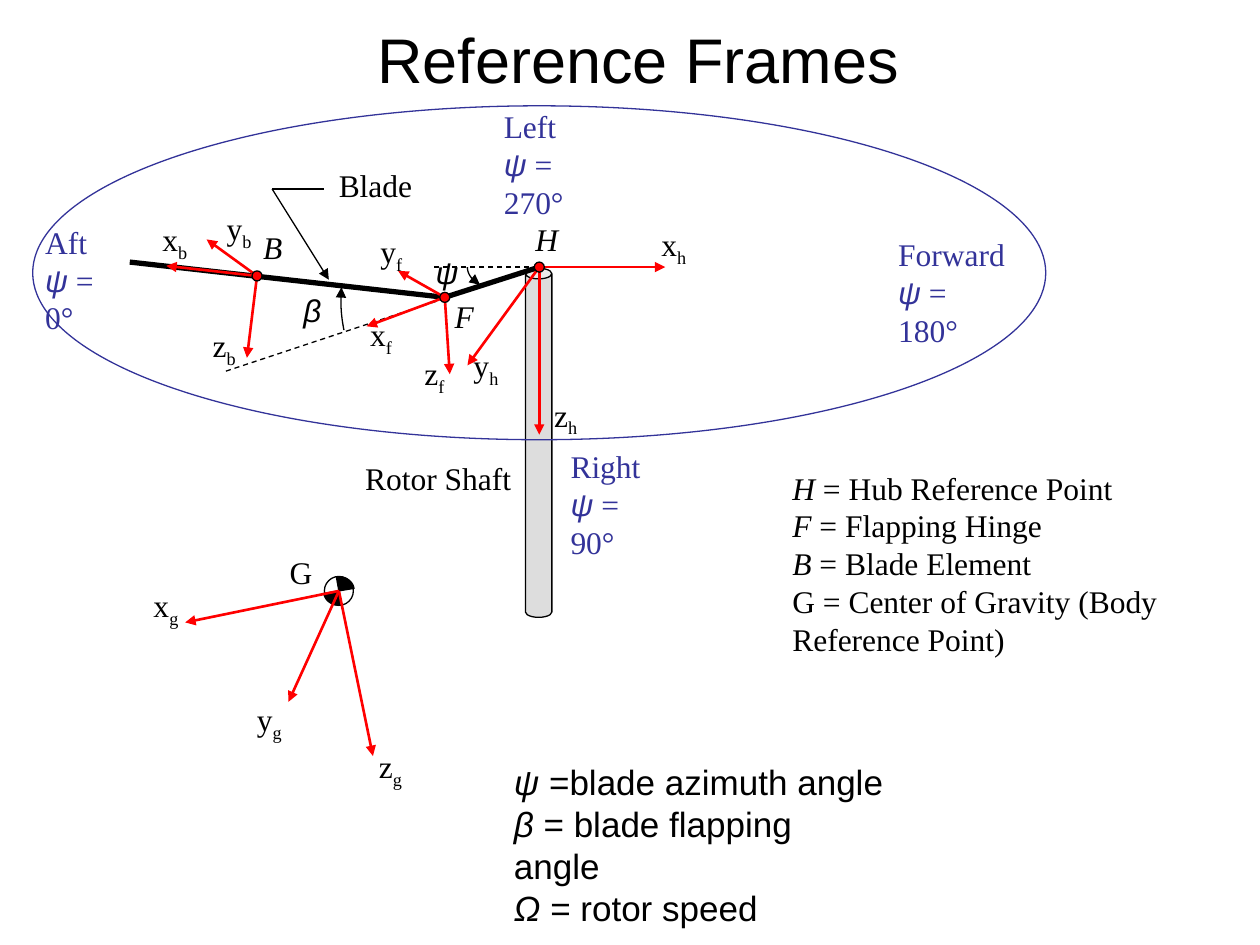
import pptx
import pptx.util
import pptx.dml.color
import pptx.enum.dml
import pptx.enum.shapes
import pptx.enum.text
import pptx.oxml.ns
import lxml.etree

Inches = pptx.util.Inches
SHAPE = pptx.enum.shapes.MSO_SHAPE
ALIGN = pptx.enum.text.PP_ALIGN
AUTO = pptx.enum.text.MSO_AUTO_SIZE
BLACK, RED, NAVY, WHITE, GREY = "000000", "FF0000", "333399", "FFFFFF", "DDDDDD"
SERIF = {"name": "Times New Roman", "italic": False}
SERIF_ITALIC = {"name": "Times New Roman", "italic": True}
SANS = {"name": "Arial", "italic": False}
SANS_ITALIC = {"name": "Arial", "italic": True}


def rgb(color):
    return pptx.dml.color.RGBColor.from_string(color)


def add_xml(parent, tag, **attrs):
    lxml.etree.SubElement(parent, pptx.oxml.ns.qn(tag), attrs)


def style(sp, fill=None, line=BLACK):
    sp.shadow.inherit = False
    if fill:
        sp.fill.solid()
        sp.fill.fore_color.rgb = rgb(fill)
    else:
        sp.fill.background()
    sp.line.color.rgb = rgb(line)
    sp.line.width = pptx.util.Pt(0.75)


def shape(s, kind, x, y, w, h, fill=None, line=BLACK):
    sp = s.shapes.add_shape(kind, Inches(x), Inches(y), Inches(w), Inches(h))
    style(sp, fill, line)
    return sp


def line(s, x1, y1, x2, y2, color=BLACK, width=0.75, dash=False, arrow=False):
    sp = s.shapes.add_connector(pptx.enum.shapes.MSO_CONNECTOR.STRAIGHT,
                                Inches(x1), Inches(y1), Inches(x2), Inches(y2))
    sp.line.color.rgb = rgb(color)
    sp.line.width = pptx.util.Pt(width)
    if dash:
        sp.line.dash_style = pptx.enum.dml.MSO_LINE.DASH
    if arrow:
        add_xml(sp.line._get_or_add_ln(), "a:tailEnd", type="triangle")
    add_xml(sp._element.spPr, "a:effectLst")


def curve(start, c1, c2, end, steps=16):
    for i in range(steps + 1):
        t = i / steps
        u = 1 - t
        weights = (u ** 3, 3 * u * u * t, 3 * u * t * t, t ** 3)
        yield tuple(sum(k * p[axis] for k, p in zip(weights, (start, c1, c2, end)))
                    for axis in (0, 1))


def outline(s, x, y, points, close=False, fill=None):
    pts = [(Inches(x + dx), Inches(y + dy)) for dx, dy in points]
    fb = s.shapes.build_freeform(*pts[0])
    fb.add_line_segments(pts[1:], close=close)
    sp = fb.convert_to_shape()
    style(sp, fill)
    return sp


def angle_arc(s, x, y, *controls):
    sp = outline(s, x, y, curve(*controls))
    add_xml(sp.line._get_or_add_ln(), "a:headEnd", type="triangle")


def text(s, x, y, w, h, paragraphs, size=18, color=BLACK, wrap=False, title=False):
    sp = s.shapes.add_textbox(Inches(x), Inches(y), Inches(w), Inches(h))
    tf = sp.text_frame
    tf.word_wrap = wrap
    tf.auto_size = AUTO.NONE if title else AUTO.SHAPE_TO_FIT_TEXT
    if title:
        tf.vertical_anchor = pptx.enum.text.MSO_ANCHOR.MIDDLE
    for i, runs in enumerate(paragraphs):
        p = tf.paragraphs[0] if i == 0 else tf.add_paragraph()
        p.alignment = ALIGN.CENTER if title else ALIGN.LEFT
        for words, fmt in runs:
            r = p.add_run()
            r.text = words
            for key, value in {"size": pptx.util.Pt(size), **fmt}.items():
                if key == "baseline":
                    r._r.get_or_add_rPr().set(key, value)
                else:
                    setattr(r.font, key, value)
            r.font.color.rgb = rgb(color)


def frame(s, x, y, sub, axes):
    for axis, dx, dy, label_dx, label_dy in axes:
        line(s, x, y, x + dx, y + dy, RED, 1.5, arrow=True)
        text(s, x + label_dx, y + label_dy, 0.4, 0.4,
             [[(axis, SERIF), (sub, {**SERIF, "baseline": "-25000"})]])


def joint(s, x, y, name, dx, dy):
    shape(s, SHAPE.OVAL, x - 0.04, y - 0.04, 0.08, 0.08, RED)
    text(s, x + dx, y + dy, 0.36, 0.4, [[(name, SERIF_ITALIC)]])


def title(s, x, y, w, h):
    text(s, x, y, w, h, [[("Reference Frames", SANS)]], 36, wrap=True, title=True)


def gravity_center(s, x, y):
    shape(s, SHAPE.OVAL, x - 0.115, y - 0.115, 0.23, 0.23, WHITE)
    quadrant = list(curve((-0.02, -0.11), (0.05, -0.12), (0.11, -0.08), (0.12, -0.02)))
    for sign in (1, -1):
        outline(s, x, y, [(sign * dx, sign * dy) for dx, dy in quadrant + [(0, 0)]],
                True, BLACK)
    frame(s, x, y, "g", [("x", -1.22, 0.25, -1.57, -0.09),
                         ("y", -0.4, 0.88, -0.75, 0.82),
                         ("z", 0.27, 1.31, 0.22, 1.19)])
    text(s, x - 0.49, y - 0.35, 0.38, 0.4, [[("G", SERIF)]])


def shaft(s, x, y, w, h):
    can = shape(s, SHAPE.CAN, x, y, w, h, GREY)
    can.adjustments[0] = 0.4
    text(s, x - 1.37, y + 1.46, 1.36, 0.4, [[("Rotor Shaft", SERIF)]])


def hub(s, x, y):
    line(s, x, y, x - 2.5, y + 0.83, dash=True)
    line(s, x - 0.08, y, x - 0.86, y, dash=True)
    line(s, x, y, x - 0.75, y + 0.24, width=3)
    angle_arc(s, x, y, (-0.47, 0.14), (-0.54, 0.1), (-0.57, 0.05), (-0.57, 0))
    text(s, x - 0.92, y - 0.16, 0.54, 0.4, [[("ψ", SANS_ITALIC)]], wrap=True)
    frame(s, x, y, "h", [("x", 1, 0, 0.87, -0.38),
                         ("y", -0.57, 0.78, -0.62, 0.58),
                         ("z", 0, 1.33, 0.02, 0.97)])
    joint(s, x, y, "H", -0.13, -0.42)


def flapping_hinge(s, x, y):
    line(s, x, y, x - 2.5, y - 0.28, width=3)
    angle_arc(s, x, y, (-0.82, -0.08), (-0.83, 0.06), (-0.82, 0.16), (-0.8, 0.26))
    text(s, x - 1.22, y - 0.1, 0.34, 0.4, [[("β", SANS_ITALIC)]])
    frame(s, x, y, "f", [("x", -0.62, 0.23, -0.69, 0.09),
                         ("y", -0.37, -0.21, -0.61, -0.57),
                         ("z", 0.04, 0.61, -0.26, 0.4)])
    joint(s, x, y, "F", -0.02, -0.05)


def blade_element(s, x, y):
    frame(s, x, y, "b", [("x", -0.72, -0.08, -0.85, -0.49),
                         ("y", -0.4, -0.29, -0.34, -0.58),
                         ("z", -0.08, 0.65, -0.45, 0.35)])
    joint(s, x, y, "B", -0.05, -0.43)
    text(s, x + 0.55, y - 0.92, 0.78, 0.4, [[("Blade", SERIF)]])
    line(s, x + 0.53, y - 0.69, x + 0.12, y - 0.69)
    line(s, x + 0.12, y - 0.69, x + 0.57, y + 0.03, arrow=True)


def rotor_disk(s, x, y, w, h):
    shape(s, SHAPE.OVAL, x, y, w, h, line=NAVY)
    for side, angle, dx, dy, width in [("Forward", 180, 6.77, 0.98, 1.08),
                                       ("Aft", 0, 0, 0.88, 0.8),
                                       ("Left", 270, 3.64, -0.04, 1.05),
                                       ("Right", 90, 4.17, 2.66, 0.9)]:
        text(s, x + dx, y + dy, width, 0.7,
             [[(side, SERIF)], [("ψ", SANS_ITALIC), (f" = {angle}°", SERIF)]],
             color=NAVY, wrap=True)


def point_legend(s, x, y, w, h):
    names = [("H", "Hub Reference Point"), ("F", "Flapping Hinge"), ("B", "Blade Element")]
    rows = [[(name, SERIF_ITALIC), (f" = {meaning}", SERIF)] for name, meaning in names]
    rows.append([("G = Center of Gravity (Body Reference Point)", SERIF)])
    text(s, x, y, w, h, rows, wrap=True)


def angle_legend(s, x, y, w, h):
    rows = [("ψ", " =blade azimuth angle"), ("β", " = blade flapping angle"),
            ("Ω", " = rotor speed")]
    text(s, x, y, w, h, [[(name, SANS_ITALIC), (meaning, SANS)] for name, meaning in rows],
         20, wrap=True)


def main():
    prs = pptx.Presentation()
    prs.slide_width, prs.slide_height = Inches(10), Inches(7.5)
    s = prs.slides.add_slide(prs.slide_layouts[6])
    gravity_center(s, 2.69, 4.69)
    shaft(s, 4.17, 2.13, 0.21, 2.77)
    hub(s, 4.28, 2.12)
    flapping_hinge(s, 3.53, 2.36)
    blade_element(s, 2.04, 2.19)
    rotor_disk(s, 0.26, 0.84, 8.04, 2.65)
    point_legend(s, 6.19, 3.67, 3.25, 1.6)
    title(s, 0.73, 0, 8.67, 0.92)
    angle_legend(s, 3.98, 5.99, 3.15, 1.1)
    prs.save("out.pptx")


if __name__ == "__main__":
    main()
